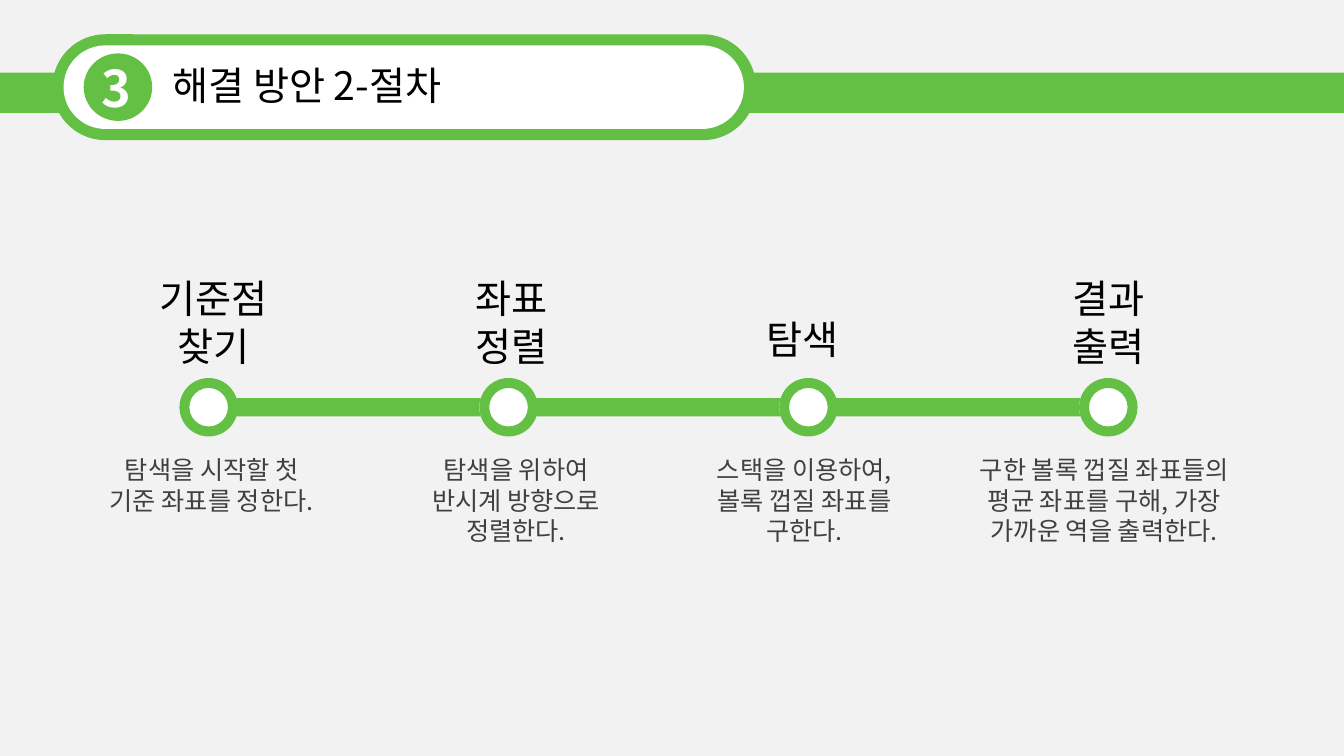
import dataclasses
import typing

import lxml.etree
import pptx
import pptx.dml.color
import pptx.enum.shapes
import pptx.enum.text
import pptx.oxml.ns
import pptx.util

SLIDE_WIDTH = pptx.util.Inches(13.33)
SLIDE_HEIGHT = pptx.util.Inches(7.5)
COLUMN = SLIDE_WIDTH / 160
ROW = SLIDE_HEIGHT / 90
FONT = "Noto Sans CJK KR"
LINE_HEIGHT = 1.21
COLORS = {
    "backdrop": "F2F2F2",
    "green": "64C044",
    "white": "FFFFFF",
    "heading": "000000",
    "detail": "404040",
}
PRESET = pptx.enum.shapes.MSO_SHAPE
ALIGN = pptx.enum.text.PP_ALIGN

NODE_LEFT = 21.36
NODE_PITCH = 35.7
NODE_TOP = 45
RING_SIZE = 6.96
DISC_SIZE = 6.24
LINK_INSET = 5.28
LINK_LENGTH = 31.92
LINK_THICKNESS = 2.16
DETAIL_TOP = 53.52


class Area(typing.NamedTuple):
    column: float
    row: float
    columns: float
    rows: float

    def emu(self) -> tuple[int, int, int, int]:
        return (
            round(self.column * COLUMN),
            round(self.row * ROW),
            round(self.columns * COLUMN),
            round(self.rows * ROW),
        )


@dataclasses.dataclass(frozen=True)
class TextStyle:
    size: int
    color: str
    align: ALIGN = ALIGN.LEFT
    bold: bool = False


@dataclasses.dataclass(frozen=True)
class Step:
    heading: tuple[str, ...]
    heading_area: Area
    heading_align: ALIGN
    detail: str
    detail_area: Area


@dataclasses.dataclass(frozen=True)
class Figure:
    preset: PRESET
    area: Area
    color: str
    adjustment: float | None = None


STEPS = (
    Step(("기준점", "찾기"), Area(17.64, 32.04, 15.6, 12.48), ALIGN.CENTER,
         "탐색을 시작할 첫 기준 좌표를 정한다.", Area(11.88, DETAIL_TOP, 26.64, 8.52)),
    Step(("좌표 정렬",), Area(55.44, 32.04, 12.6, 12.48), ALIGN.LEFT,
         "탐색을 위하여 반시계 방향으로 정렬한다.", Area(48.12, DETAIL_TOP, 26.64, 12.12)),
    Step(("탐색",), Area(90.12, 36.96, 12.6, 6.84), ALIGN.LEFT,
         "스택을 이용하여, 볼록 껍질 좌표를 구한다.", Area(82.44, DETAIL_TOP, 26.64, 12.12)),
    Step(("결과", "출력"), Area(126.48, 32.04, 12.6, 12.48), ALIGN.LEFT,
         "구한 볼록 껍질 좌표들의 평균 좌표를 구해, 가장 가까운 역을 출력한다.",
         Area(113.88, DETAIL_TOP, 35.16, 12.12)),
)

HEADER = (
    Figure(PRESET.RECTANGLE, Area(0, 8.64, 160, 4.8), "green"),
    Figure(PRESET.ROUNDED_RECTANGLE, Area(6.24, 4.08, 83.76, 12.6), "green", 0.5),
    Figure(PRESET.ROUNDED_RECTANGLE, Area(7.56, 5.4, 81, 9.96), "white", 0.5),
    Figure(PRESET.OVAL, Area(9.96, 6.36, 8.16, 8.04), "green"),
)


def rgb(color: str) -> pptx.dml.color.RGBColor:
    return pptx.dml.color.RGBColor.from_string(COLORS[color])


def draw(slide: pptx.slide.Slide, figure: Figure) -> None:
    shape = slide.shapes.add_shape(figure.preset, *figure.area.emu())
    shape.shadow.inherit = False
    shape.fill.solid()
    shape.fill.fore_color.rgb = rgb(figure.color)
    shape.line.fill.background()
    if figure.adjustment is not None:
        shape.adjustments[0] = figure.adjustment


def fill_text(
    frame: pptx.text.text.TextFrame, lines: tuple[str, ...], style: TextStyle
) -> None:
    frame.word_wrap = True
    frame.auto_size = pptx.enum.text.MSO_AUTO_SIZE.NONE
    frame.vertical_anchor = pptx.enum.text.MSO_ANCHOR.TOP
    for index, line in enumerate(lines):
        paragraph = frame.add_paragraph() if index else frame.paragraphs[0]
        paragraph.alignment = style.align
        paragraph.line_spacing = pptx.util.Pt(style.size * LINE_HEIGHT)
        run = paragraph.add_run()
        run.text = line
        run.font.size = pptx.util.Pt(style.size)
        run.font.bold = style.bold
        run.font.color.rgb = rgb(style.color)
        run.font.name = FONT
        east_asian = lxml.etree.SubElement(
            run.font._element, pptx.oxml.ns.qn("a:ea")
        )
        east_asian.set("typeface", FONT)


def write(
    slide: pptx.slide.Slide, area: Area, lines: tuple[str, ...], style: TextStyle
) -> None:
    fill_text(slide.shapes.add_textbox(*area.emu()).text_frame, lines, style)


def draw_header(slide: pptx.slide.Slide) -> None:
    for figure in HEADER:
        draw(slide, figure)
    title = slide.shapes.title
    title.left, title.top, title.width, title.height = Area(19.32, 6.6, 56.88, 6.84).emu()
    fill_text(title.text_frame, ("해결 방안 2-절차",), TextStyle(28, "heading"))
    slide.shapes.element.append(title.element)
    write(slide, Area(10.92, 6.12, 6.48, 8.52), ("3",), TextStyle(36, "white", bold=True))


def draw_timeline(slide: pptx.slide.Slide) -> None:
    lefts = [NODE_LEFT + NODE_PITCH * index for index in range(len(STEPS))]
    link_top = NODE_TOP + (RING_SIZE - LINK_THICKNESS) / 2
    disc_top = NODE_TOP + (RING_SIZE - DISC_SIZE) / 2
    for left in lefts[:-1]:
        link = Area(left + LINK_INSET, link_top, LINK_LENGTH, LINK_THICKNESS)
        draw(slide, Figure(PRESET.RECTANGLE, link, "green"))
    for left in lefts:
        disc = Area(left, disc_top, DISC_SIZE, DISC_SIZE)
        ring = Area(left, NODE_TOP, RING_SIZE, RING_SIZE)
        draw(slide, Figure(PRESET.OVAL, disc, "white"))
        draw(slide, Figure(PRESET.DONUT, ring, "green", 0.17))
    for step in STEPS:
        write(slide, step.heading_area, step.heading,
              TextStyle(28, "heading", step.heading_align))
        write(slide, step.detail_area, (step.detail,),
              TextStyle(18, "detail", ALIGN.CENTER))


def main() -> None:
    presentation = pptx.Presentation()
    presentation.slide_width = SLIDE_WIDTH
    presentation.slide_height = SLIDE_HEIGHT
    slide = presentation.slides.add_slide(presentation.slide_layouts[5])
    slide.background.fill.solid()
    slide.background.fill.fore_color.rgb = rgb("backdrop")
    draw_timeline(slide)
    draw_header(slide)
    presentation.save("out.pptx")


if __name__ == "__main__":
    main()
